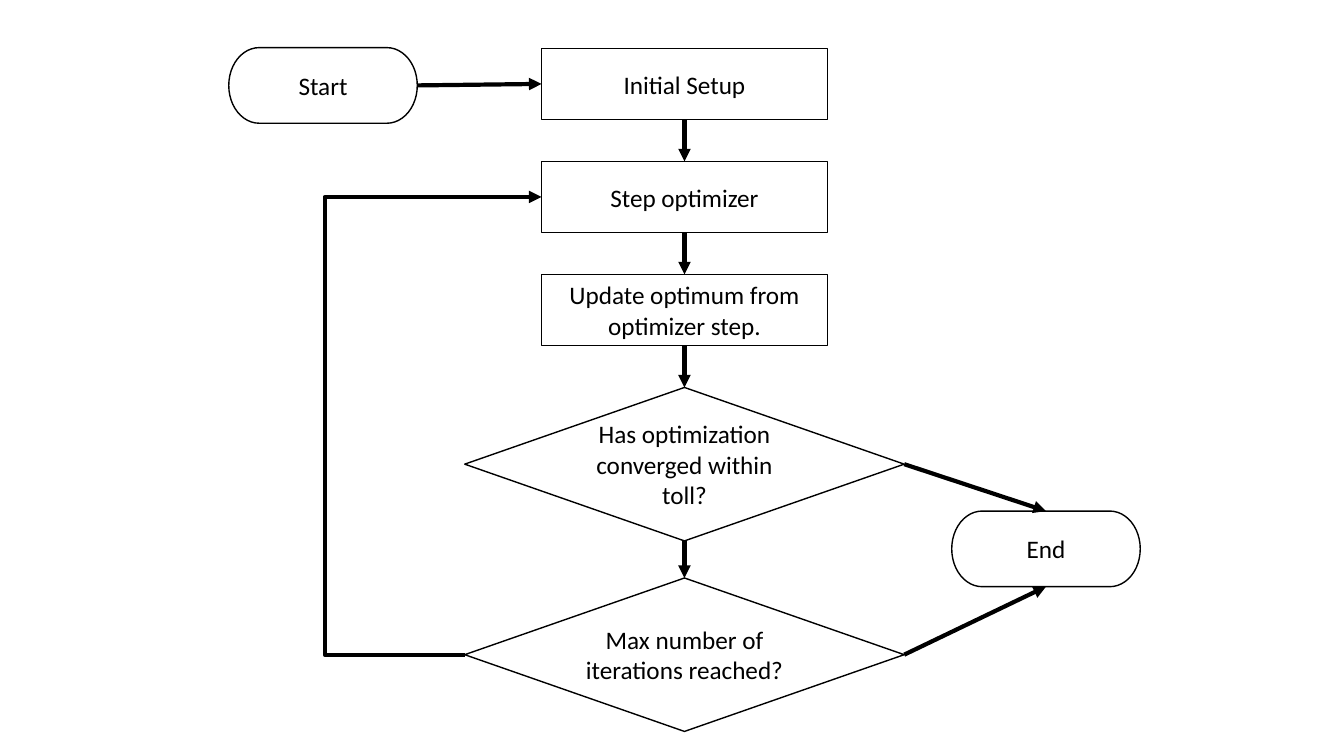
"""Draw the flowchart of an optimisation loop on one slide."""
from dataclasses import dataclass

import pptx
import pptx.dml.color
import pptx.enum.shapes
import pptx.enum.text
import pptx.oxml
import pptx.oxml.ns
import pptx.util

SHAPE = pptx.enum.shapes.MSO_SHAPE
CONNECTOR = pptx.enum.shapes.MSO_CONNECTOR
WIDTH, HEIGHT = pptx.util.Inches(13.33), pptx.util.Inches(7.5)
COLUMN, ROW = WIDTH / 100, HEIGHT / 100
INK = "000000"
TOP, RIGHT, BOTTOM, LEFT = 0, 3, 2, 1
AXIS, FIRST_ROW, PITCH = 50.93, 6.4, 14.95
LOOP_COLUMN = 24.16


@dataclass(frozen=True)
class Kind:
    """Preset outline with its size in columns and rows."""
    preset: SHAPE
    columns: float
    rows: float


@dataclass(frozen=True)
class Node:
    """Flowchart box placed by its centre column and top row."""
    text: str
    kind: Kind
    centre: float
    top: float


@dataclass(frozen=True)
class Link:
    """Arrow between two sides of named nodes."""
    source: str
    source_side: int
    target: str
    target_side: int
    route: CONNECTOR = CONNECTOR.STRAIGHT


PROCESS = Kind(SHAPE.FLOWCHART_PROCESS, 21.27, 9.4)
DECISION = Kind(SHAPE.FLOWCHART_DECISION, 32.7, 20.3)
TERMINATOR = Kind(SHAPE.FLOWCHART_TERMINATOR, 14.03, 10)

NODES = {
    "setup": Node("Initial Setup", PROCESS, AXIS, FIRST_ROW),
    "step": Node("Step optimizer", PROCESS, AXIS, FIRST_ROW + PITCH),
    "update": Node("Update optimum from optimizer step.", PROCESS, AXIS, FIRST_ROW + 2 * PITCH),
    "converged": Node("Has optimization converged within toll?", DECISION, AXIS, FIRST_ROW + 3 * PITCH),
    "limit": Node("Max number of iterations reached?", DECISION, AXIS, 76.45),
    "end": Node("End", TERMINATOR, 77.83, 67.6),
    "start": Node("Start", TERMINATOR, 24.04, 6.3),
}
MAIN_FLOW = ["setup", "step", "update", "converged", "limit"]
LINKS = [Link(upper, BOTTOM, lower, TOP) for upper, lower in zip(MAIN_FLOW, MAIN_FLOW[1:])] + [
    Link("limit", LEFT, "step", LEFT, CONNECTOR.ELBOW),
    Link("converged", RIGHT, "end", TOP),
    Link("limit", RIGHT, "end", BOTTOM),
    Link("start", RIGHT, "setup", LEFT),
]


def colour(value: str) -> pptx.dml.color.RGBColor:
    """Turn a hex string into a colour."""
    return pptx.dml.color.RGBColor.from_string(value)


def draw_node(page, node: Node):
    """Draw one outlined box with centred text."""
    kind = node.kind
    box = page.shapes.add_shape(
        kind.preset, round((node.centre - kind.columns / 2) * COLUMN), round(node.top * ROW),
        round(kind.columns * COLUMN), round(kind.rows * ROW))
    box.shadow.inherit = False
    box.fill.background()
    box.line.color.rgb = colour(INK)
    box.line.width = pptx.util.Pt(1)
    box.text_frame.word_wrap = True
    box.text_frame.vertical_anchor = pptx.enum.text.MSO_ANCHOR.MIDDLE
    para = box.text_frame.paragraphs[0]
    para.alignment = pptx.enum.text.PP_ALIGN.CENTER
    span = para.add_run()
    span.text = node.text
    span.font.name = "Calibri"
    span.font.size = pptx.util.Pt(18)
    span.font.color.rgb = colour(INK)
    return box


def add_element(parent, tag: str, **attributes: str):
    """Append a DrawingML element with attributes."""
    element = pptx.oxml.parse_xml(f"<{tag} {pptx.oxml.ns.nsdecls('a')}/>")
    for name, value in attributes.items():
        element.set(name, value)
    parent.append(element)


def draw_link(page, link: Link, boxes: dict) -> None:
    """Draw one arrow glued to its two boxes."""
    arrow = page.shapes.add_connector(link.route, 0, 0, 0, 0)
    arrow.begin_connect(boxes[link.source], link.source_side)
    arrow.end_connect(boxes[link.target], link.target_side)
    arrow.line.color.rgb = colour(INK)
    arrow.line.width = pptx.util.Pt(3)
    properties = arrow.element.spPr
    add_element(arrow.line._get_or_add_ln(), "a:tailEnd", type="triangle")
    add_element(properties, "a:effectLst")
    if link.route == CONNECTOR.ELBOW:
        bend = (LOOP_COLUMN * COLUMN - arrow.begin_x) / (arrow.end_x - arrow.begin_x)
        guides = properties.find(".//" + pptx.oxml.ns.qn("a:avLst"))
        add_element(guides, "a:gd", name="adj1", fmla=f"val {round(bend * 100000)}")


def main() -> None:
    """Build and save the deck."""
    deck = pptx.Presentation()
    deck.slide_width, deck.slide_height = WIDTH, HEIGHT
    page = deck.slides.add_slide(deck.slide_layouts[6])
    boxes = {name: draw_node(page, node) for name, node in NODES.items()}
    for link in LINKS:
        draw_link(page, link, boxes)
    deck.save("out.pptx")


if __name__ == "__main__":
    main()
